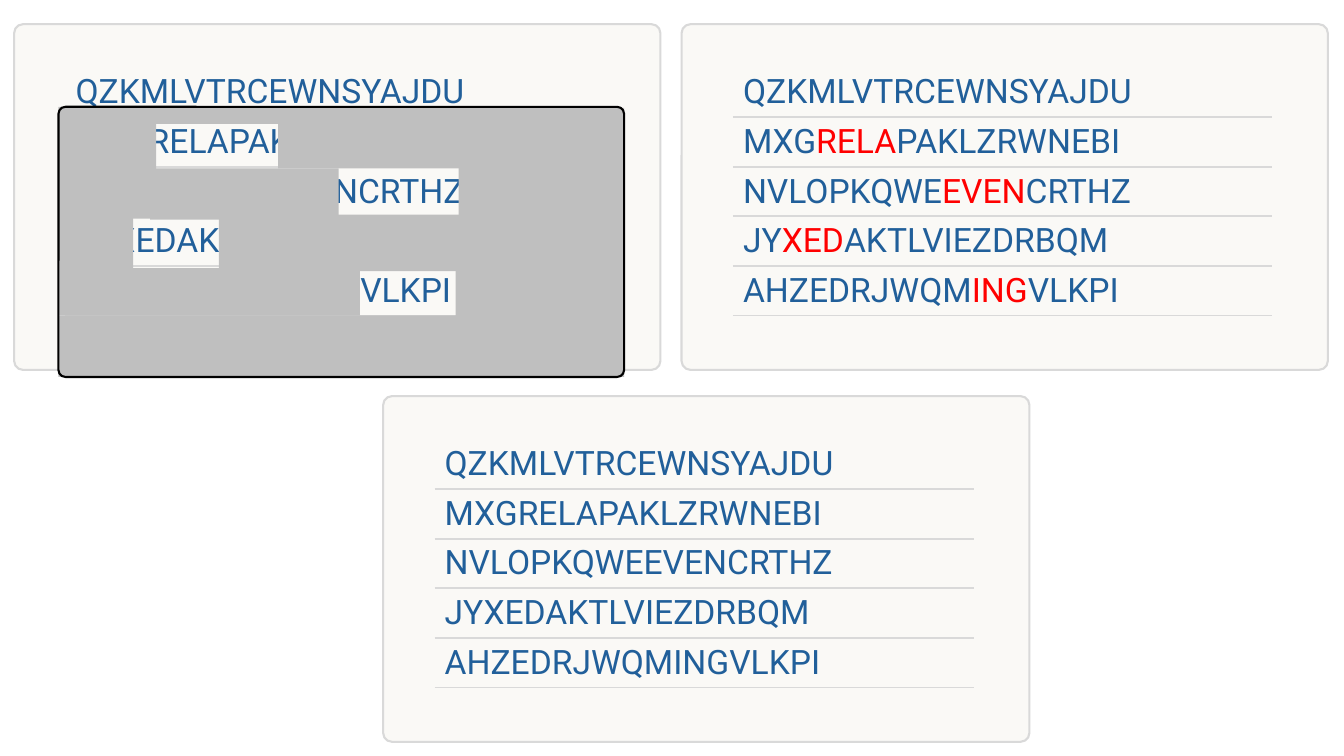
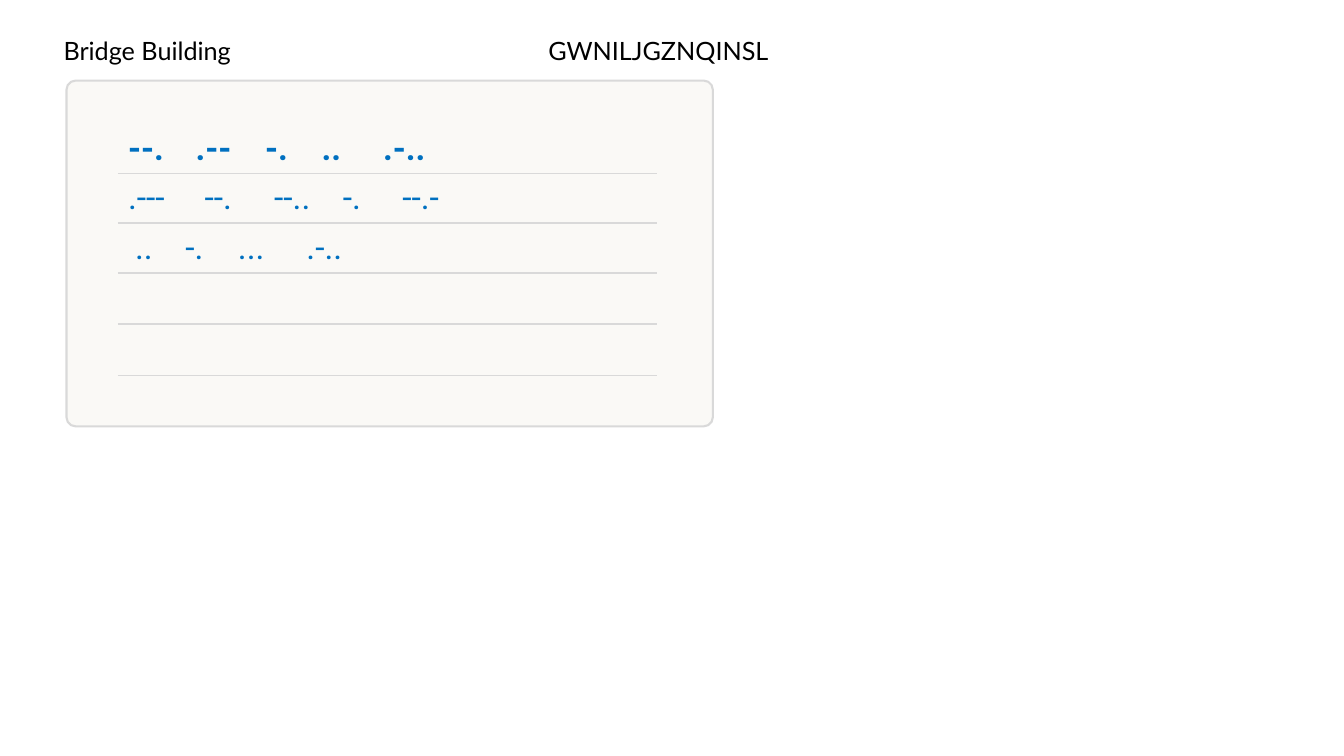
import pptx
import pptx.util
import pptx.dml.color
import pptx.enum.shapes
import pptx.enum.text
import pptx.oxml.ns
from lxml import etree

Inches, Pt = pptx.util.Inches, pptx.util.Pt
qn = pptx.oxml.ns.qn
SHAPE = pptx.enum.shapes.MSO_SHAPE
ANCHOR = pptx.enum.text.MSO_ANCHOR
ALIGN = pptx.enum.text.PP_ALIGN

COLORS = {
    "card": "FAF9F6", "rule": "D9D9D9", "letters": "215F9A", "word": "FF0000",
    "morse": "0070C0", "mask": "BFBFBF", "black": "000000",
}
NO_STYLE = "{2D5ABB26-0587-4C30-8999-92F81FD0307C}"

# A card is a rounded panel with a ruled table inside it
CARD_WIDTH, CARD_HEIGHT = 6.41, 3.43
TABLE_LEFT, TABLE_TOP, TABLE_HEIGHT = 0.07, 0.43, 2.9
COLUMNS = (0.44, 5.35, 0.47)
RULED_ROWS, ROW_HEIGHT, EMPTY_HEIGHT = 5, 0.49, 0.51

# Each line of the letter grid, with the word hidden in it
LETTERS = (
    ("QZKMLVTRCEWNSYAJDU", ""),
    ("MXGRELAPAKLZRWNEBI", "RELA"),
    ("NVLOPKQWEEVENCRTHZ", "EVEN"),
    ("JYXEDAKTLVIEZDRBQM", "XED"),
    ("AHZEDRJWQMINGVLKPI", "ING"),
)
# Each line of Morse code, with the tab stops that space its signs
MORSE = (
    ("--.\t.--\t-.\t..\t.-..", (0.67, 1.36, 1.92, 2.53)),
    (".---\t--.\t--..\t-.\t--.-", (0.76, 1.45, 2.13, 2.72)),
    ("\t..\t-.\t...\t.-..", (0.07, 0.57, 1.09, 1.77)),
)
# Opaque parts of the mask, from its top left corner: left, top, width, height
MASK_PARTS = (
    (0, 2.07, 5.61, 0.61), (0, 1.6, 2.99, 0.47), (0, 0, 0.74, 1.64),
    (0.74, 0, 0.23, 1.11), (0.91, 0.61, 1.87, 0.51), (2.18, 0.01, 3.43, 0.6),
    (3.97, 0.56, 1.64, 1.08), (3.94, 1.27, 1.67, 1.08), (1.59, 1.07, 2.53, 0.56),
    (0.52, 0, 2.53, 0.17),
)


def rgb(name):
    return pptx.dml.color.RGBColor.from_string(COLORS[name])


def set_font(font, name, size, color):
    font.name, font.size = name, Pt(size)
    font.color.rgb = rgb(color)


def add_block(shapes, kind, box, fill=None, line=None):
    block = shapes.add_shape(kind, *map(Inches, box))
    block.shadow.inherit = False
    if kind == SHAPE.ROUNDED_RECTANGLE:
        block.adjustments[0] = 0.026
    if fill:
        block.fill.solid()
        block.fill.fore_color.rgb = rgb(fill)
    else:
        block.fill.background()
    if line:
        block.line.color.rgb = rgb(line)
        block.line.width = Pt(1.5)
    else:
        block.line.fill.background()


def add_rule(cell, side):
    border = etree.SubElement(cell._tc.get_or_add_tcPr(), qn("a:" + side), w=str(Pt(1.5)))
    fill = etree.SubElement(border, qn("a:solidFill"))
    etree.SubElement(fill, qn("a:srgbClr"), val=COLORS["rule"])


def add_card(page, left, top, line_count):
    """Draw a card and return its writing cells."""
    add_block(page.shapes, SHAPE.ROUNDED_RECTANGLE,
              (left, top, CARD_WIDTH, CARD_HEIGHT), "card", "rule")
    frame = page.shapes.add_table(
        RULED_ROWS + 1, len(COLUMNS), Inches(left + TABLE_LEFT), Inches(top + TABLE_TOP),
        Inches(sum(COLUMNS)), Inches(TABLE_HEIGHT))
    table = frame.table
    table.first_row = table.horz_banding = False
    table._tbl.tblPr.find(qn("a:tableStyleId")).text = NO_STYLE
    for column, width in zip(table.columns, COLUMNS):
        column.width = Inches(width)
    heights = [ROW_HEIGHT if row < line_count else EMPTY_HEIGHT for row in range(RULED_ROWS)]
    for row, height in zip(table.rows, heights + [TABLE_HEIGHT - sum(heights)]):
        row.height = Inches(height)

    # Rules above and below the writing lines
    lines = [table.cell(row, 1) for row in range(RULED_ROWS)]
    for row, cell in enumerate(lines):
        cell.vertical_anchor = ANCHOR.BOTTOM
        if row:
            add_rule(cell, "lnT")
        add_rule(cell, "lnB")
    for cell in table.iter_cells():
        cell.fill.background()

    # Margins joined in pairs of rows, and the foot across
    for row in (1, 3):
        for column in (0, 2):
            table.cell(row, column).merge(table.cell(row + 1, column))
    table.cell(RULED_ROWS, 0).merge(table.cell(RULED_ROWS, 2))
    return lines


def add_letter_card(page, left, top, reveal=False):
    for cell, (letters, word) in zip(add_card(page, left, top, len(LETTERS)), LETTERS):
        para = cell.text_frame.paragraphs[0]
        para.alignment = ALIGN.JUSTIFY
        set_font(para.font, "Roboto", 24, "letters")
        parts = letters.partition(word) if reveal and word else (letters,)
        for part in parts:
            span = para.add_run()
            span.text = part
            if reveal and part == word:
                span.font.color.rgb = rgb("word")


def add_morse_card(page, left, top):
    for row, (cell, (signs, stops)) in enumerate(zip(add_card(page, left, top, len(MORSE)), MORSE)):
        para = cell.text_frame.paragraphs[0]
        tabs = etree.SubElement(para._p.get_or_add_pPr(), qn("a:tabLst"))
        for stop in stops:
            etree.SubElement(tabs, qn("a:tab"), pos=str(Inches(stop)), algn="l")
        set_font(para.font, "Roboto", 24, "morse")
        para.font.bold = row == 0
        para.add_run().text = signs


def add_mask(page, left, top):
    group = page.shapes.add_group_shape()
    for x, y, width, height in MASK_PARTS:
        add_block(group.shapes, SHAPE.RECTANGLE, (left + x, top + y, width, height), "mask")
    add_block(group.shapes, SHAPE.ROUNDED_RECTANGLE, (left, top, 5.61, 2.68), line="black")


def write_heading(shape, left, text):
    shape.left, shape.top, shape.width, shape.height = map(Inches, (left, 0.3, 6.67, 0.4))
    frame = shape.text_frame
    frame.word_wrap = True
    frame.auto_size = pptx.enum.text.MSO_AUTO_SIZE.NONE
    frame.vertical_anchor = ANCHOR.TOP
    para = frame.paragraphs[0]
    para.alignment = ALIGN.LEFT
    set_font(para.font, "Lato", 18, "black")
    para.add_run().text = text


def build_letter_page(deck):
    page = deck.slides.add_slide(deck.slide_layouts[6])
    add_letter_card(page, 6.76, 0.24, reveal=True)
    add_letter_card(page, 0.14, 0.24)
    add_mask(page, 0.58, 1.06)
    add_letter_card(page, 3.8, 3.93)


def build_morse_page(deck):
    page = deck.slides.add_slide(deck.slide_layouts[5])
    add_morse_card(page, 0.66, 0.8)
    write_heading(page.shapes.title, 0.53, "Bridge Building")
    write_heading(page.shapes.add_textbox(0, 0, 0, 0), 5.34, "GWNILJGZNQINSL")


def main():
    deck = pptx.Presentation()
    deck.slide_width, deck.slide_height = Inches(13.33), Inches(7.5)
    build_letter_page(deck)
    build_morse_page(deck)
    deck.save("out.pptx")


if __name__ == "__main__":
    main()
